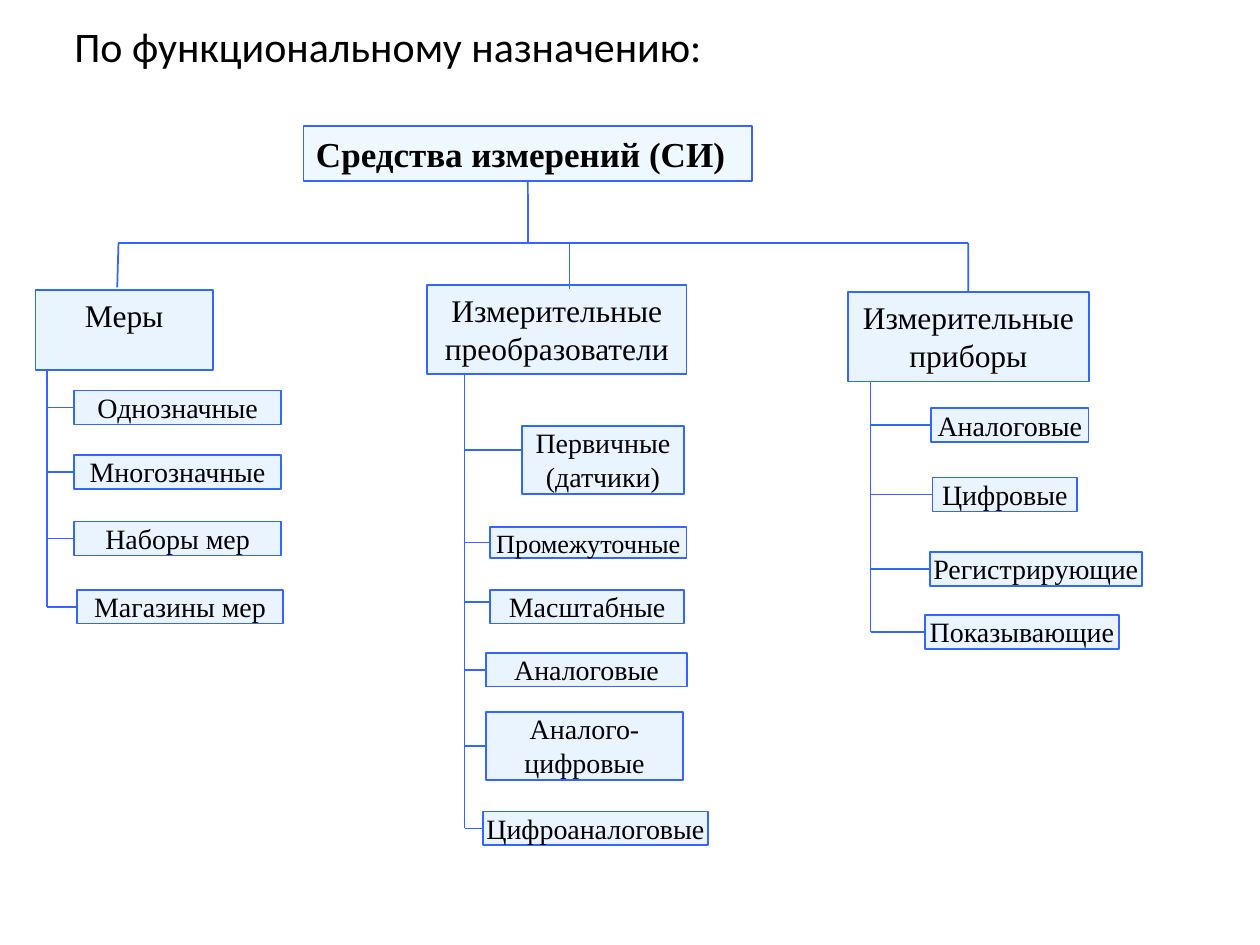
from lxml.etree import SubElement
from pptx import Presentation
from pptx.dml.color import RGBColor
from pptx.enum.shapes import MSO_CONNECTOR, MSO_SHAPE
from pptx.enum.text import MSO_ANCHOR, PP_ALIGN
from pptx.oxml.ns import qn
from pptx.util import Pt

TOP, LEFT, BOTTOM = 0, 1, 2


def color(hex_string):
    return RGBColor.from_string(hex_string)


class Diagram:
    line_color = "3366FF"
    fill_color = "99CCFF"
    text_color = "000000"
    font_name = "Times New Roman"

    def __init__(self, slide):
        self.slide = slide

    def format_text(self, frame, text, size, alignment, name=font_name,
                    bold=False, anchor=MSO_ANCHOR.TOP, margins=(7.2, 3.6)):
        frame.text = text
        horizontal, vertical = (Pt(margin) for margin in margins)
        frame_format = {
            "word_wrap": True, "vertical_anchor": anchor,
            "margin_left": horizontal, "margin_right": horizontal,
            "margin_top": vertical, "margin_bottom": vertical,
        }
        for attribute, value in frame_format.items():
            setattr(frame, attribute, value)
        font_format = {"name": name, "size": Pt(size), "bold": bold}
        for paragraph in frame.paragraphs:
            paragraph.alignment = alignment
            for run in paragraph.runs:
                for attribute, value in font_format.items():
                    setattr(run.font, attribute, value)
                run.font.color.rgb = color(self.text_color)

    def title(self, text, left, top, width, height):
        shape = self.slide.shapes.title
        position = {"left": left, "top": top, "width": width, "height": height}
        for attribute, value in position.items():
            setattr(shape, attribute, Pt(value))
        self.format_text(shape.text_frame, text, 24, PP_ALIGN.LEFT,
                         name="Calibri", anchor=MSO_ANCHOR.MIDDLE)

    def box(self, text, left, top, width, height, size=16, opacity=20,
            alignment=PP_ALIGN.CENTER, **text_format):
        shape = self.slide.shapes.add_shape(
            MSO_SHAPE.RECTANGLE, Pt(left), Pt(top), Pt(width), Pt(height))
        shape.shadow.inherit = False
        shape.fill.solid()
        shape.fill.fore_color.rgb = color(self.fill_color)
        # Let the background show through the fill
        fill = shape.fill._xPr.find(qn("a:solidFill"))
        SubElement(fill[0], qn("a:alpha"), val=str(opacity * 1000))
        shape.line.color.rgb = color(self.line_color)
        shape.line.width = Pt(1)
        self.format_text(shape.text_frame, text, size, alignment, **text_format)
        return shape

    def line(self, start, end, begin=None, finish=None):
        """Draw a line; begin and finish are (shape, side) pairs to join."""
        connector = self.slide.shapes.add_connector(
            MSO_CONNECTOR.STRAIGHT, *(Pt(value) for value in (*start, *end)))
        connector.line.color.rgb = color(self.line_color)
        connector.line.width = Pt(1)
        SubElement(connector._element.spPr, qn("a:effectLst"))
        if begin:
            connector.begin_connect(*begin)
        if finish:
            connector.end_connect(*finish)

    def branch(self, trunk, trunk_top, items):
        """Hang items on a vertical trunk; link is set if off the middle."""
        for text, left, top, width, height, size, link in items:
            shape = self.box(text, left, top, width, height, size, margins=(0, 0))
            level = link or top + height / 2
            self.line((trunk, level), (left, level),
                      finish=None if link else (shape, LEFT))
        self.line((trunk, trunk_top), (trunk, level))


def item(text, left, top, width, height=19.4, size=16, link=None):
    return text, left, top, width, height, size, link


def main():
    presentation = Presentation()
    presentation.slide_width, presentation.slide_height = Pt(720), Pt(540)
    slide = presentation.slides.add_slide(presentation.slide_layouts[5])
    diagram = Diagram(slide)
    diagram.title("По функциональному назначению:", 35.3, 0, 648, 52)

    # Root and the three class headings
    root = diagram.box("Средства измерений (СИ)", 173.5, 72, 256.3, 31.7, 20,
                       opacity=15, alignment=PP_ALIGN.LEFT, bold=True)
    diagram.box("Меры", 20.2, 165.6, 101.5, 46.1, 18)
    diagram.box("Измерительные\nпреобразователи", 244.1, 162.7, 148.3, 51.1, 18,
                margins=(0, 3.6))
    instruments = diagram.box("Измерительные приборы",
                              484.6, 167, 137.5, 51.1, 18)

    # Bar from the root to the headings
    bar = 139
    diagram.line((67.7, bar), (553.3, bar))
    diagram.line((301.7, 103.7), (301.7, bar), begin=(root, BOTTOM))
    diagram.line((67.7, bar), (67, 164.2))
    diagram.line((325.4, bar), (325.4, 164.9))
    diagram.line((553.3, bar), (553.3, 167), finish=(instruments, TOP))

    # Measures
    diagram.branch(27, 211.7, [
        item("Однозначные", 42.5, 223.2, 118),
        item("Многозначные", 42.5, 259.9, 118),
        item("Наборы мер", 42.5, 298.1, 118),
        item("Магазины мер", 43.9, 337, 118),
    ])
    # Transducers
    diagram.branch(265.5, 213.8, [
        item("Первичные\n(датчики)", 298.1, 243.4, 92.9, 38.9, link=257),
        item("Промежуточные", 280.1, 301, 112.3, 18, size=15),
        item("Масштабные", 280.1, 337, 110.9, link=344.2),
        item("Аналоговые", 277.9, 373, 114.5),
        item("Аналого-цифровые", 277.9, 406.8, 112.3, 38.9),
        item("Цифроаналоговые", 275.8, 463.7, 128.9),
    ])
    # Instruments
    diagram.branch(497.5, 218.1, [
        item("Аналоговые", 532.1, 233.3, 90),
        item("Цифровые", 532.8, 272.9, 82.8),
        item("Регистрирующие", 531.4, 315.4, 121),
        item("Показывающие", 528.5, 351.4, 110.9),
    ])
    presentation.save("out.pptx")


if __name__ == "__main__":
    main()
